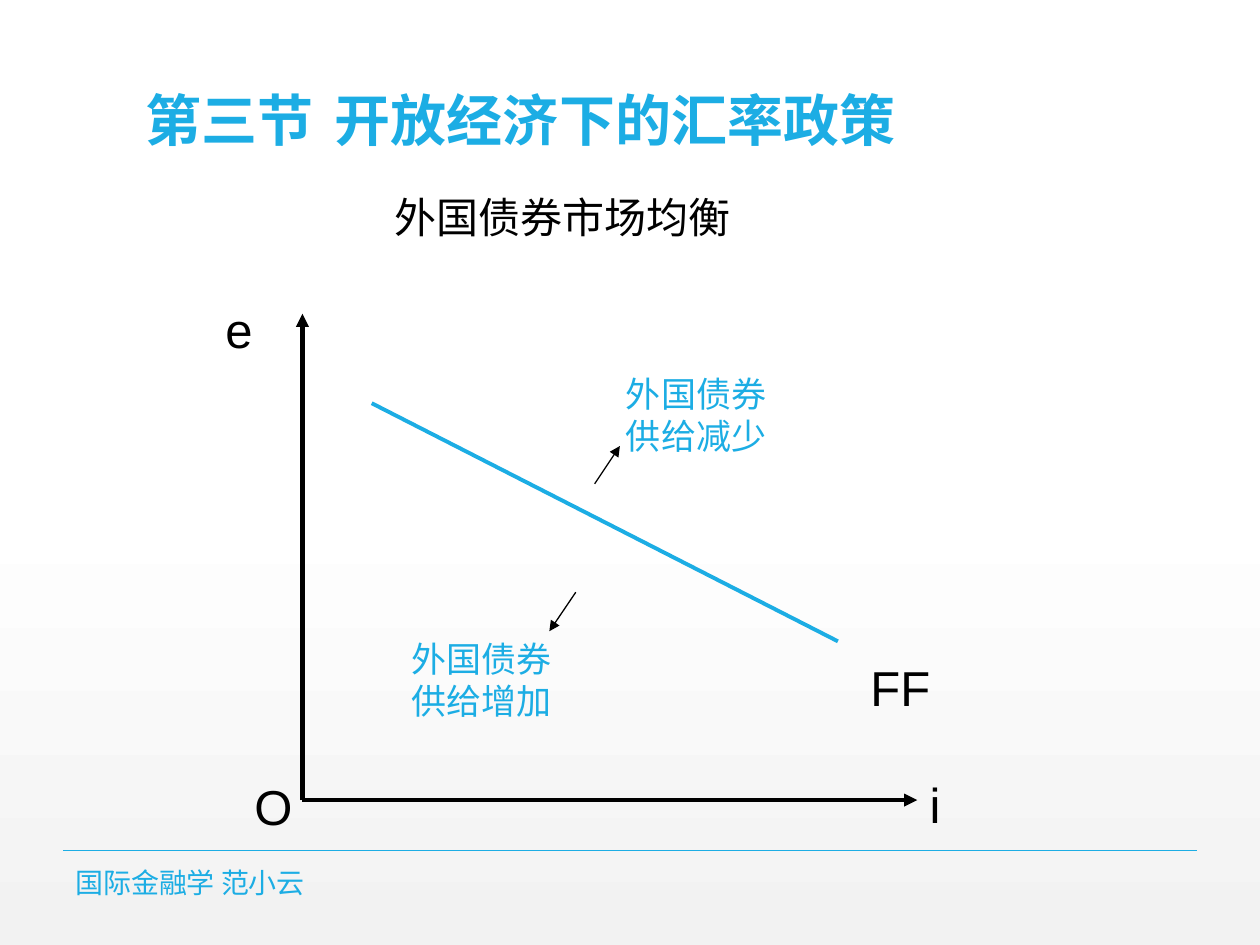
from copy import deepcopy
from dataclasses import dataclass

from lxml import etree
from pptx import Presentation
from pptx.dml.color import RGBColor
from pptx.enum.shapes import MSO_CONNECTOR
from pptx.enum.text import MSO_ANCHOR
from pptx.oxml.ns import qn
from pptx.util import Inches, Pt

STRAIGHT = MSO_CONNECTOR.STRAIGHT
TOP, MIDDLE, BOTTOM = MSO_ANCHOR.TOP, MSO_ANCHOR.MIDDLE, MSO_ANCHOR.BOTTOM


@dataclass(frozen=True)
class Theme:
    accent: RGBColor = RGBColor(0x1C, 0xAD, 0xE4)
    ink: RGBColor = RGBColor(0, 0, 0)
    white: RGBColor = RGBColor(0xFF, 0xFF, 0xFF)
    shade: RGBColor = RGBColor(0xF2, 0xF2, 0xF2)
    font: str = "Arial"
    footer_font: str = "Noto Sans CJK SC"
    title: int = 32
    axis: int = 28
    subtitle: int = 24
    note: int = 20
    footer: int = 16


THEME = Theme()


def add_text(page, box, text, size, color, font=THEME.font, anchor=TOP):
    left, top, width, height = (Inches(value) for value in box)
    frame = page.shapes.add_textbox(left, top, width, height).text_frame
    frame.word_wrap = True
    frame.vertical_anchor = anchor
    para = frame.paragraphs[0]
    para.text = text
    para.font.size = Pt(size)
    para.font.name = font
    para.font.color.rgb = color
    return para


def add_line(page, start, end, color, width, arrow=False):
    points = (Inches(value) for value in (*start, *end))
    line = page.shapes.add_connector(STRAIGHT, *points)
    line.line.color.rgb = color
    line.line.width = Pt(width)
    if arrow:
        outline = line.line._get_or_add_ln()
        etree.SubElement(outline, qn("a:tailEnd"), type="triangle")
    etree.SubElement(line._element.spPr, qn("a:effectLst"))


def paint_background(page):
    fill = page.background.fill
    fill.gradient()
    fill.gradient_angle = 270
    first = next(page._element.iter(qn("a:gs")))
    first.addnext(deepcopy(first))
    stops = ((0, THEME.white), (0.53, THEME.white), (1, THEME.shade))
    for stop, (position, color) in zip(fill.gradient_stops, stops):
        stop.position = position
        stop.color.rgb = color


def add_header(page, left, top):
    title = add_text(page, (left, top, 7.88, 1.25), "第三节\t开放经济下的汇率政策",
                     THEME.title, THEME.accent, anchor=BOTTOM)
    title.font.bold = True
    title.line_spacing = 0.9
    add_text(page, (left + 1.97, top + 1.45, 3.94, 0.5), "外国债券市场均衡",
             THEME.subtitle, THEME.ink)


def add_diagram(page, left, top, width, height):
    right, bottom = left + width, top + height
    origin = (left, bottom)

    # Axes and the FF curve
    for end in ((left, top), (right, bottom)):
        add_line(page, origin, end, THEME.ink, 2.5, arrow=True)
    add_line(page, (left + 0.55, top + 0.71), (left + 4.25, top + 2.6),
             THEME.accent, 2.25)

    # Axis and curve labels: text, offset from the top left corner, width
    labels = (
        ("e", -0.71, -0.16, 0.55),
        ("i", width, height - 0.25, 0.55),
        ("FF", 4.41, 2.68, 1.02),
        ("O", -0.48, height - 0.24, 0.55),
    )
    for text, across, down, label_width in labels:
        add_text(page, (left + across, top + down, label_width, 0.57), text,
                 THEME.axis, THEME.ink)

    # Shifts of the curve: text, note offset, arrow start and end offsets
    shifts = (
        ("外国债券供给减少", (2.47, 0.42), (2.32, 1.35), (2.52, 1.05)),
        ("外国债券供给增加", (0.77, 2.52), (2.17, 2.21), (1.96, 2.52)),
    )
    for text, note, start, end in shifts:
        add_text(page, (left + note[0], top + note[1], 1.4, 0.77), text,
                 THEME.note, THEME.accent)
        add_line(page, (left + start[0], top + start[1]),
                 (left + end[0], top + end[1]), THEME.ink, 0.75, arrow=True)


def add_footer(page, left, top, width):
    add_line(page, (left, top), (left + width, top), THEME.accent, 1)
    add_text(page, (left, top + 0.13, 5.03, 0.24), "国际金融学 范小云",
             THEME.footer, THEME.accent, THEME.footer_font, MIDDLE)


def main():
    deck = Presentation()
    deck.slide_width, deck.slide_height = Inches(10), Inches(7.5)
    page = deck.slides.add_slide(deck.slide_layouts[6])
    paint_background(page)
    add_header(page, 1.06, 0.02)
    add_diagram(page, 2.4, 2.49, 4.88, 3.86)
    add_footer(page, 0.5, 6.75, 9)
    deck.save("out.pptx")


if __name__ == "__main__":
    main()
